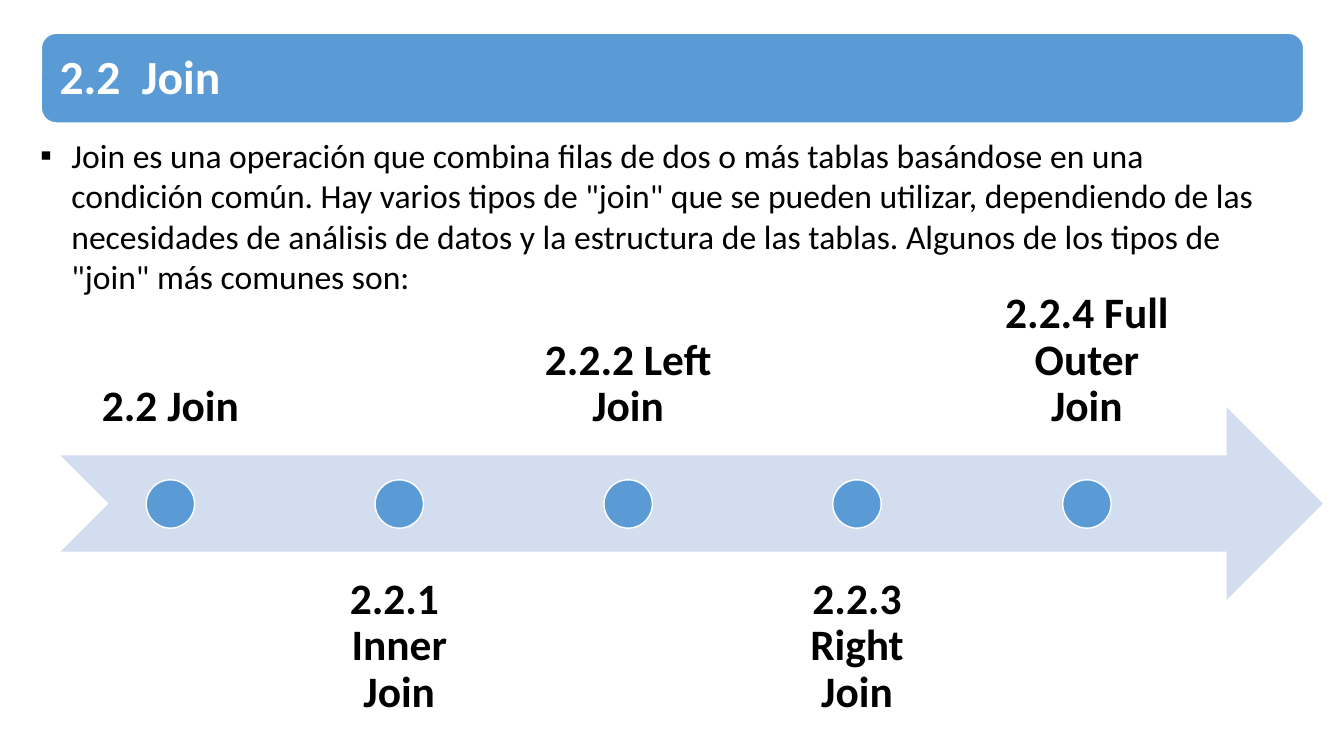
from lxml import etree
from pptx import Presentation
from pptx.dml.color import RGBColor
from pptx.enum.shapes import MSO_SHAPE
from pptx.enum.text import MSO_ANCHOR, MSO_AUTO_SIZE, PP_ALIGN
from pptx.oxml.ns import qn
from pptx.util import Pt

PX = 9144  # EMU per px, 100 px to the inch
TITLE_ONLY = 5
ARROW, CIRCLE, BAR = (MSO_SHAPE.NOTCHED_RIGHT_ARROW, MSO_SHAPE.OVAL,
                      MSO_SHAPE.ROUNDED_RECTANGLE)
TOP, MIDDLE, BOTTOM = MSO_ANCHOR.TOP, MSO_ANCHOR.MIDDLE, MSO_ANCHOR.BOTTOM
LEFT, CENTER = PP_ALIGN.LEFT, PP_ALIGN.CENTER
COLORS = {"blue": "5B9BD5", "pale": "D2DEEF", "white": "FFFFFF", "black": "000000"}

STEPS = ["2.2 Join", "2.2.1  Inner Join", "2.2.2 Left Join",
         "2.2.3 Right Join", "2.2.4 Full Outer Join"]
INTRO = ('Join es una operación que combina filas de dos o más tablas basándose en una '
         'condición común. Hay varios tipos de "join" que se pueden utilizar, dependiendo '
         'de las necesidades de análisis de datos y la estructura de las tablas. Algunos '
         'de los tipos de "join" más comunes son:')

presentation = Presentation()
presentation.slide_width, presentation.slide_height = 1333 * PX, 750 * PX
slide = presentation.slides.add_slide(presentation.slide_layouts[TITLE_ONLY])


def add_filled(kind, box, fill, outlined=True):
    shape = slide.shapes.add_shape(kind, *[length * PX for length in box])
    shape.shadow.inherit = False
    shape.fill.solid()
    shape.fill.fore_color.rgb = RGBColor.from_string(COLORS[fill])
    if outlined:
        shape.line.color.rgb = RGBColor.from_string(COLORS["white"])
        shape.line.width = Pt(1)
    else:
        shape.line.fill.background()
    return shape


def write(shape, text, size, color="black", bold=True, anchor=TOP, align=LEFT,
          spacing=0.9, insets=(24, 24)):
    """Fill a shape with one paragraph; insets are horizontal and vertical px."""
    frame = shape.text_frame
    frame.word_wrap = True
    frame.auto_size = MSO_AUTO_SIZE.NONE
    frame.vertical_anchor = anchor
    frame.margin_left = frame.margin_right = insets[0] * PX
    frame.margin_top = frame.margin_bottom = insets[1] * PX
    frame.text = text
    paragraph = frame.paragraphs[0]
    paragraph.alignment = align
    paragraph.line_spacing = spacing
    paragraph.font.name = "Calibri"
    paragraph.font.size = Pt(size)
    paragraph.font.bold = bold
    paragraph.font.color.rgb = RGBColor.from_string(COLORS[color])
    return paragraph


# Timeline: labels alternate above and below the arrow
add_filled(ARROW, (60, 404, 1252, 191), "pale", outlined=False)
for index, step in enumerate(STEPS):
    left = 61 + 909 * index // (len(STEPS) - 1)
    top, anchor = (548, TOP) if index % 2 else (261, BOTTOM)
    label = slide.shapes.add_textbox(left * PX, top * PX, 216 * PX, 191 * PX)
    write(label, step, 31, anchor=anchor, align=CENTER)
    add_filled(CIRCLE, (left + 84, 476, 48, 48), "blue")

# Title on its bar
bar = add_filled(BAR, (41, 33, 1252, 89), "blue")
title = slide.shapes.title
bar.element.addnext(title.element)
title.left, title.top, title.width, title.height = 45 * PX, 38 * PX, 1243 * PX, 80 * PX
write(title, "2.2  Join", 34, "white", anchor=MIDDLE, insets=(14, 14))

# Introduction with a square bullet
intro = slide.shapes.add_textbox(30 * PX, 129 * PX, 1242 * PX, 172 * PX)
paragraph = write(intro, INTRO, 24, bold=False, spacing=1.0, insets=(10, 5))
properties = paragraph._p.get_or_add_pPr()
properties.set("marL", str(31 * PX))
properties.set("indent", str(-31 * PX))
bullet_font = etree.Element(qn("a:buFont"), typeface="Arial")
bullet = etree.Element(qn("a:buChar"), char="▪")
properties.find(qn("a:lnSpc")).addnext(bullet_font)
bullet_font.addnext(bullet)

presentation.save("out.pptx")
